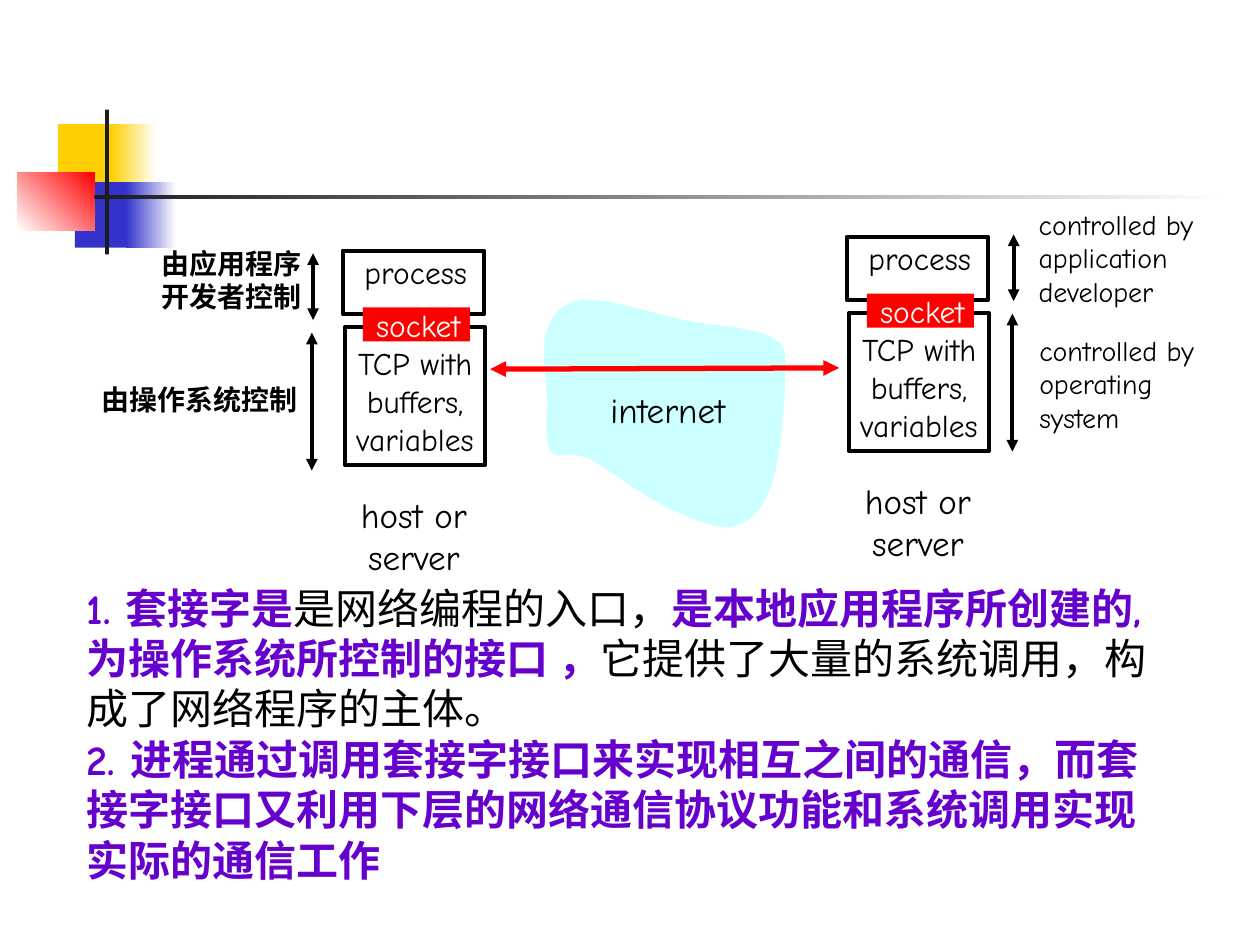
import dataclasses
import pptx
import pptx.util
import pptx.dml.color
import pptx.enum.lang
import pptx.enum.shapes
import pptx.enum.text
import pptx.oxml
import pptx.oxml.ns

Align = pptx.enum.text.PP_ALIGN
COLS = 100  # the slide is a grid of 100 columns by 75 rows


@dataclasses.dataclass
class Theme:
    main: str = "Comic Neue"
    plain: str = "Lato"
    black: str = "000000"
    white: str = "FFFFFF"
    red: str = "FF0000"
    gold: str = "FFCF01"
    blue: str = "3333CC"
    dark: str = "1C1C1C"
    cloud: str = "CCFFFF"
    violet: str = "6600CC"
    note: int = 16
    label: int = 18
    name: int = 20
    body: int = 24
    line: float = 2.25
    link: float = 3


T = Theme()

deck = pptx.Presentation()
deck.slide_width = pptx.util.Inches(10)
deck.slide_height = pptx.util.Inches(7.5)
UNIT = deck.slide_width / COLS
slide = deck.slides.add_slide(deck.slide_layouts[6])
shapes = slide.shapes


def cells(*sizes):
    return [round(size * UNIT) for size in sizes]


def within(box, x, y, w, h):
    return box[0] + x, box[1] + y, w, h


def rgb(code):
    return pptx.dml.color.RGBColor.from_string(code)


def node(tag, extra=""):
    return pptx.oxml.parse_xml(
        f'<a:{tag} {pptx.oxml.ns.nsdecls("a")} {extra}/>')


def rect(box, fill=None, line=None, fade=None, angle=0):
    """Draw a rectangle; fade is the end colour of a gradient."""
    shape = shapes.add_shape(
        pptx.enum.shapes.MSO_SHAPE.RECTANGLE, *cells(*box))
    shape.shadow.inherit = False
    if fade:
        shape.fill.gradient()
        shape.fill.gradient_angle = angle
        for stop, code in zip(shape.fill.gradient_stops, (fill, fade)):
            stop.color.rgb = rgb(code)
    elif fill:
        shape.fill.solid()
        shape.fill.fore_color.rgb = rgb(fill)
    else:
        shape.fill.background()
    if line:
        shape.line.color.rgb = rgb(line)
        shape.line.width = pptx.util.Pt(T.line)
    else:
        shape.line.fill.background()


def style(font, color, bold=False, face=T.main):
    font.name = face
    font.bold = bold
    font.color.rgb = rgb(color)


def frame(box, wrap=False):
    text = shapes.add_textbox(*cells(*box)).text_frame
    text.word_wrap = wrap
    text.auto_size = pptx.enum.text.MSO_AUTO_SIZE.SHAPE_TO_FIT_TEXT
    text.vertical_anchor = pptx.enum.text.MSO_ANCHOR.MIDDLE
    return text


def write(box, words, size, color=T.black, align=Align.CENTER, bold=False):
    text = frame(box)
    text.text = words
    for para in text.paragraphs:
        para.alignment = align
        para.font.size = pptx.util.Pt(size)
        style(para.font, color, bold)


def arrow(x1, y1, x2, y2, color=T.black, width=T.line):
    """Draw a line with a head at both ends."""
    line = shapes.add_connector(
        pptx.enum.shapes.MSO_CONNECTOR.STRAIGHT, *cells(x1, y1, x2, y2))
    line.line.color.rgb = rgb(color)
    line.line.width = pptx.util.Pt(width)
    stroke = line.line._get_or_add_ln()
    for end in ("headEnd", "tailEnd"):
        stroke.append(node(end, 'type="triangle"'))
    line._element.spPr.append(node("effectLst"))


def banner(box):
    rect(within(box, 3.2, 1.15, 4.8, 5.2), T.gold)
    rect(within(box, 7.4, 1.15, 3.6, 5.2), T.gold, fade=T.white)
    rect(within(box, 4.55, 5.75, 4.6, 5.2), T.blue)
    rect(within(box, 8.6, 5.75, 4, 5.2), T.blue, fade=T.white)
    rect(within(box, 0, 5, 6.1, 4.6), T.white, fade=T.red, angle=45)
    rect(within(box, 6.95, 0, 0.3, 11.5), T.dark)
    rect(within(box, 6.1, 6.8, 90, 0.3), T.dark, fade=T.white)


def host(box):
    rect(within(box, 0.5, 0.3, 11.25, 5), T.white, T.black)
    write(within(box, 0.8, 0, 11, 4), "process", T.label)
    write(within(box, 0.05, 7.2, 12.4, 10),
          "TCP with\nbuffers,\nvariables", T.label)
    rect(within(box, 0.65, 6.35, 11.15, 10.95), line=T.black)
    rect(within(box, 2.1, 4.8, 8.5, 2.7), T.red)
    write(within(box, 1.65, 4.15, 9.7, 4), "socket", T.label, T.white)
    write(within(box, 0.45, 19.05, 11.4, 7.7), "host or\nserver", T.name)


def control(box, axis, labels, align, bold=False):
    """Mark the application's span and the system's span beside a host."""
    x, y = box[0] + axis, box[1]
    for place, words in labels:
        write(within(box, *place), words, T.note, align=align, bold=bold)
    arrow(x + 0.1, y + 5.3, x + 0.1, y)
    arrow(x, y + 17.25, x, y + 6.3)


def cloud(box):
    """Draw the curved outline; each row is two handles and an end."""
    start = (3.7, 0.1)
    curves = [
        (1.9, 0.2, 1.1, 1, 0.6, 2.3), (0, 3.5, 0.4, 6, 0.5, 7.6),
        (0.5, 9.3, 0.3, 11.3, 0.8, 12.1), (1.4, 12.9, 2.3, 12, 3.8, 12.7),
        (5.3, 13.4, 8, 15.6, 9.9, 16.5), (11.8, 17.4, 13.8, 18.3, 15.2, 18.1),
        (16.6, 17.8, 17.6, 16.8, 18.3, 14.9), (19, 13, 19.4, 8.5, 19.4, 6.5),
        (19.4, 4.5, 19.7, 3.9, 18.4, 3.1), (17.1, 2.3, 13.9, 2.2, 11.4, 1.7),
        (9, 1.2, 5.5, 0, *start)]
    spots = [cells(box[0] + x, box[1] + y) for row in curves
             for x, y in zip(row[::2], row[1::2])]
    maker = shapes.build_freeform(*spots[-1])
    maker.add_line_segments(spots, close=True)
    shape = maker.convert_to_shape()
    lines = shape._element.xpath(".//a:path/a:lnTo")
    for first in range(0, len(lines), 3):
        curve = node("cubicBezTo")
        lines[first].addprevious(curve)
        for line in lines[first:first + 3]:
            curve.append(line[0])
            line.getparent().remove(line)
    shape.shadow.inherit = False
    shape.fill.solid()
    shape.fill.fore_color.rgb = rgb(T.cloud)
    shape.line.fill.background()
    write(within(box, 3.75, 6.65, 12.7, 4.3), "internet", T.name)


def points(box, paras):
    """Write the summary; each run is a pair of words and stress."""
    text = frame(box, wrap=True)
    for index, runs in enumerate(paras):
        para = text.add_paragraph() if index else text.paragraphs[0]
        para._p.get_or_add_pPr().set("hangingPunct", "0")
        for words, stress in runs:
            run = para.add_run()
            run.text = words
            run.font.size = pptx.util.Pt(T.body)
            run.font.language_id = (
                pptx.enum.lang.MSO_LANGUAGE_ID.SIMPLIFIED_CHINESE)
            if stress:
                style(run.font, T.violet, True)
            else:
                style(run.font, T.black, face=T.plain)


banner((1.4, 8.7))
host((26.7, 19.6))
control((7, 20.1), 17.75, [
    ((4.8, -1.1, 13.1, 6.4), "由应用程序\n开发者控制"),
    ((0, 9.75, 17.6, 3.7), "由操作系统控制")], Align.RIGHT, bold=True)
host((66.7, 18.5))
control((80.4, 18.6), -0.05, [
    ((1.05, -2.65, 15.6, 9), "controlled by\napplication\ndeveloper"),
    ((1.1, 7.35, 15.6, 9), "controlled by\noperating\nsystem")], Align.LEFT)
cloud((42.9, 23.7))
arrow(66.6, 29.2, 38.9, 29.3, T.red, T.link)
points((5.9, 45.6, 86.6, 25.2), [
    [("1. 套接字是", True), ("是网络编程的入口，", False),
     ("是本地应用程序所创建的, 为操作系统所控制的接口 ，", True),
     ("它提供了大量的系统调用，构成了网络程序的主体。", False)],
    [("2. 进程通过调用套接字接口来实现相互之间的通信，而套接字接口又"
      "利用下层的网络通信协议功能和系统调用实现实际的通信工作", True)]])
deck.save("out.pptx")
